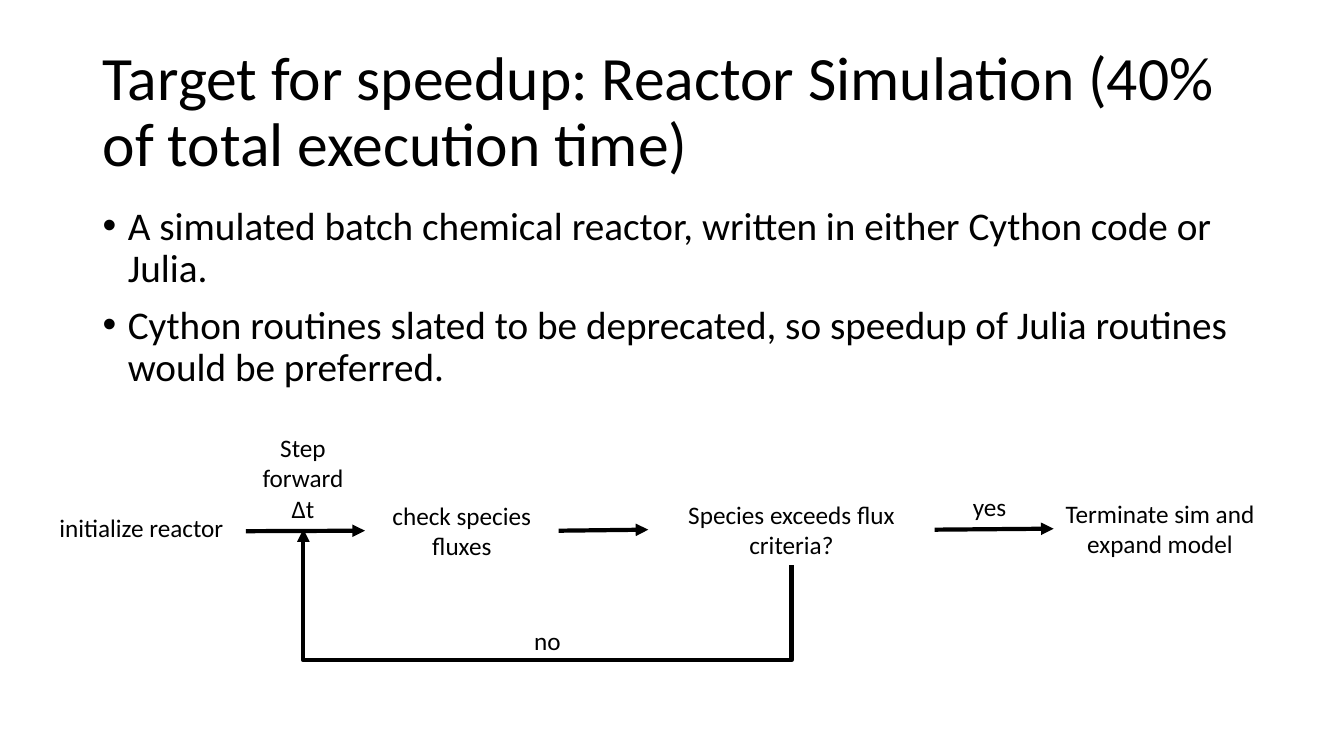
from lxml import etree
from pptx import Presentation
from pptx.dml.color import RGBColor
from pptx.enum import shapes, text
from pptx.oxml import ns
from pptx.util import Inches, Pt

FONT = "Calibri"
BLACK = "000000"
TOP, LEFT, BOTTOM, RIGHT = range(4)


def color(hex_code):
    return RGBColor.from_string(hex_code)


def add_bullet(paragraph):
    properties = paragraph._p.get_or_add_pPr()
    properties.set("marL", str(Inches(0.25)))
    properties.set("indent", str(-Inches(0.25)))
    etree.SubElement(properties, ns.qn("a:buFont"), typeface="Arial")
    etree.SubElement(properties, ns.qn("a:buChar"), char="•")


def add_text(slide, content, left, top, width, height, size=18, align=None,
             anchor=text.MSO_ANCHOR.TOP, wrap=True, grow=True,
             line_spacing=None, space_before=None, bullets=False):
    """Add a text box with one paragraph for each line of content."""
    box = slide.shapes.add_textbox(*map(Inches, (left, top, width, height)))
    frame = box.text_frame
    frame.word_wrap = wrap
    frame.vertical_anchor = anchor
    frame.auto_size = (text.MSO_AUTO_SIZE.SHAPE_TO_FIT_TEXT if grow
                       else text.MSO_AUTO_SIZE.NONE)
    frame.text = content
    for paragraph in frame.paragraphs:
        paragraph.alignment = align
        paragraph.line_spacing = line_spacing
        paragraph.space_before = space_before
        if bullets:
            add_bullet(paragraph)
        font = paragraph.runs[0].font
        font.name, font.size = FONT, Pt(size)
        font.color.rgb = color(BLACK)
    return box


def add_arrow(slide, start, end, kind=shapes.MSO_CONNECTOR.STRAIGHT):
    arrow = slide.shapes.add_connector(kind, *map(Inches, (*start, *end)))
    arrow.line.width = Pt(3)
    arrow.line.color.rgb = color(BLACK)
    etree.SubElement(arrow.line._get_or_add_ln(), ns.qn("a:tailEnd"),
                     type="triangle")
    etree.SubElement(arrow._element.spPr, ns.qn("a:effectLst"))
    return arrow


def add_return_arrow(slide, start, end, depth):
    """Add an elbow that drops by depth below start, then rises to end."""
    middle_x, middle_y = (start[0] + end[0]) / 2, (start[1] + end[1]) / 2
    half_span, half_rise = (start[0] - end[0]) / 2, (start[1] - end[1]) / 2
    # The elbow is laid out upright and then turned a quarter clockwise.
    arrow = add_arrow(slide,
                      (middle_x + half_rise, middle_y - half_span),
                      (middle_x - half_rise, middle_y + half_span),
                      shapes.MSO_CONNECTOR.ELBOW)
    properties = arrow._element.spPr
    properties.find(ns.qn("a:xfrm")).set("rot", str(90 * 60000))
    adjustments = properties.find(ns.qn("a:prstGeom")).get_or_add_avLst()
    bend = round(-depth / (2 * half_rise) * 100000)
    etree.SubElement(adjustments, ns.qn("a:gd"), name="adj1",
                     fmla=f"val {bend}")


def add_flow(slide):
    center = text.PP_ALIGN.CENTER
    add_text(slide, "initialize reactor", 0.49, 5.03, 1.85, 0.4, wrap=False)
    add_text(slide, "Step forward\nΔt", 2.33, 4.24, 1.35, 1.01, align=center)
    check = add_text(slide, "check species fluxes", 3.62, 4.91, 1.92, 0.71,
                     align=center)
    decision = add_text(slide, "Species exceeds flux criteria?",
                        6.43, 4.9, 2.84, 0.71, align=center)
    finish = add_text(slide, "Terminate sim and expand model",
                      10.45, 4.89, 2.11, 0.71, align=center)
    add_text(slide, "yes", 9.55, 4.83, 0.54, 0.4, wrap=False)
    add_text(slide, "no", 5.2, 6.15, 0.47, 0.4, wrap=False)

    step = add_arrow(slide, (2.44, 5.27), (3.62, 5.26))
    step.end_connect(check, LEFT)
    to_decision = add_arrow(slide, (5.54, 5.26), (6.43, 5.26))
    to_decision.begin_connect(check, RIGHT)
    to_decision.end_connect(decision, LEFT)
    to_finish = add_arrow(slide, (9.27, 5.26), (10.45, 5.25))
    to_finish.begin_connect(decision, RIGHT)
    to_finish.end_connect(finish, LEFT)
    add_return_arrow(slide, (7.85, 5.61), (3.01, 5.25), depth=0.94)


def main():
    deck = Presentation()
    deck.slide_width, deck.slide_height = Inches(13.33), Inches(7.5)
    slide = deck.slides.add_slide(deck.slide_layouts[6])
    add_text(slide, "Target for speedup: Reactor Simulation "
             "(40% of total execution time)", 0.92, 0.4, 11.5, 1.45, size=44,
             anchor=text.MSO_ANCHOR.MIDDLE, grow=False, line_spacing=0.9)
    add_text(slide, "A simulated batch chemical reactor, written in either "
             "Cython code or Julia.\n"
             "Cython routines slated to be deprecated, so speedup of Julia "
             "routines would be preferred.", 0.92, 2, 11.5, 4.76, size=28,
             grow=False, line_spacing=0.9, space_before=Pt(10), bullets=True)
    add_flow(slide)
    deck.save("out.pptx")


if __name__ == "__main__":
    main()
